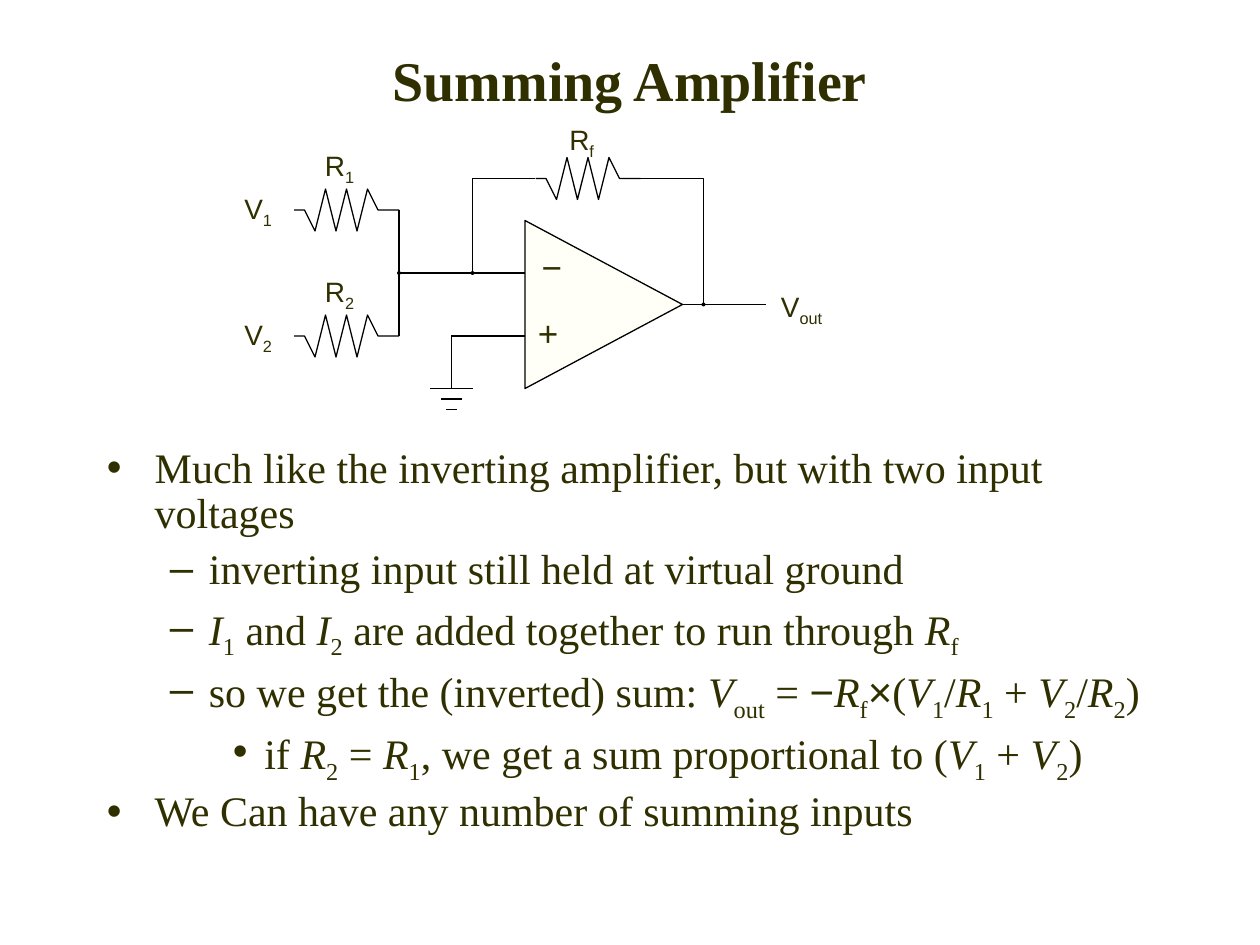
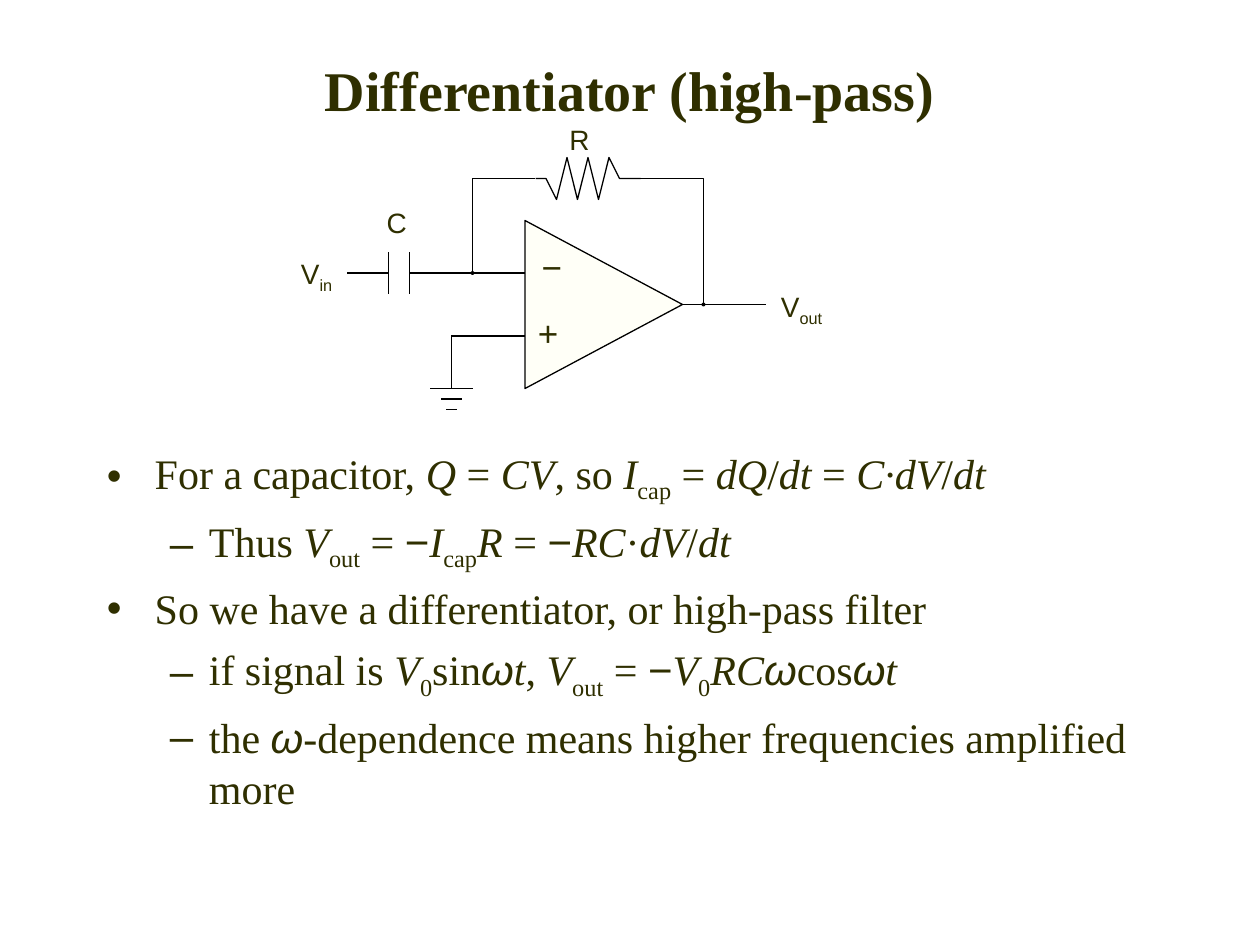
"""Build two op-amp lecture slides: the summing amplifier and the differentiator."""
from dataclasses import dataclass
from itertools import groupby
from typing import NamedTuple

from lxml import etree
from pptx import Presentation
from pptx import util as u
from pptx.dml.color import RGBColor
from pptx.enum import shapes, text
from pptx.oxml.ns import qn


@dataclass(frozen=True)
class Theme:
    """Colours, fonts and type sizes shared by the slides."""
    ink: str = "2F2F00"
    wire: str = "000000"
    amplifier: str = "FFFFF7"
    serif: str = "Times New Roman"
    sans: str = "Arial"
    symbols: str = "−×ω"
    title_size: int = 32
    body_size: int = 24
    sign_size: int = 20
    label_size: int = 16
    wire_width: float = 0.75


class Box(NamedTuple):
    """A frame in inches."""
    left: float
    top: float
    width: float
    height: float


class Point(NamedTuple):
    """A circuit position in twelfths of an inch."""
    x: float
    y: float


class Wire(NamedTuple):
    """A straight wire between two circuit points."""
    start: Point
    end: Point


class Label(NamedTuple):
    """A marked-up caption and its frame."""
    markup: str
    box: Box
    size: int


class Bullet(NamedTuple):
    """A marked-up list item and its level."""
    level: int
    markup: str


class ListLevel(NamedTuple):
    """The bullet sign and indents of a list level."""
    sign: str
    margin: float
    hanging: float


@dataclass(frozen=True)
class CircuitSlide:
    """Everything that is particular to one slide."""
    title: str
    title_top: float
    line_spacing: float
    bullets: list[Bullet]
    labels: list[Label]
    wires: list[Wire]
    resistors: list[Point]
    junctions: list[Point]


THEME = Theme()
LEVELS = [ListLevel("•", 0.38, 0.38), ListLevel("–", 0.81, 0.31), ListLevel("•", 1.25, 0.25)]
ZIGZAG = [Point(0, 0), Point(1, 0), Point(2, 2), Point(3, -2), Point(4, 2), Point(5, -2),
          Point(6, 2), Point(7, -2), Point(8, 0), Point(10, 0)]
FEEDBACK_RESISTOR = Point(51, 17)
FEEDBACK_WIRES = [
    [Point(45, 26), Point(45, 17), Point(51, 17)],
    [Point(61, 17), Point(67, 17), Point(67, 29)],
]
COMMON_WIRES = [
    Wire(Point(50, 32), Point(43, 32)),
    Wire(Point(50, 26), Point(43, 26)),
    Wire(Point(65, 29), Point(73, 29)),
    Wire(Point(43, 32), Point(43, 37)),
    *(Wire(Point(43 - half, y), Point(43 + half, y)) for half, y in ((2, 37), (1, 38), (0.5, 39))),
]
COMMON_JUNCTIONS = [Point(45, 26), Point(67, 29)]
COMMON_LABELS = [
    Label("−", Box(4.2, 1.9, 0.29, 0.44), THEME.sign_size),
    Label("+", Box(4.17, 2.42, 0.36, 0.44), THEME.sign_size),
    Label("V_out_", Box(6.1, 2.25, 0.56, 0.41), THEME.label_size),
]

SUMMING = CircuitSlide(
    title="Summing Amplifier",
    title_top=0,
    line_spacing=0.9,
    bullets=[
        Bullet(0, "Much like the inverting amplifier, but with two input voltages"),
        Bullet(1, "inverting input still held at virtual ground"),
        Bullet(1, "*I*_1_ and *I*_2_ are added together to run through *R*_f_"),
        Bullet(1, "so we get the (inverted) sum: *V*_out_ = −*R*_f_×(*V*_1_/*R*_1_ + *V*_2_/*R*_2_)"),
        Bullet(2, "if *R*_2_ = *R*_1_, we get a sum proportional to (*V*_1_ + *V*_2_)"),
        Bullet(0, "We Can have any number of summing inputs"),
    ],
    labels=[
        Label("R_f_", Box(4.42, 0.92, 0.43, 0.41), THEME.label_size),
        *(Label(f"{name}_{number}_", Box(left, top + number, width, 0.41), THEME.label_size)
          for number in (1, 2)
          for name, left, top, width in (("V", 1.84, 0.47, 0.42), ("R", 2.48, 0.13, 0.43))),
    ],
    wires=[Wire(Point(38, 20), Point(38, 32)), Wire(Point(43, 26), Point(38, 26))],
    resistors=[Point(28, 20), Point(28, 32)],
    junctions=[Point(38, 26)],
)

DIFFERENTIATOR = CircuitSlide(
    title="Differentiator (high-pass)",
    title_top=0.08,
    line_spacing=1.0,
    bullets=[
        Bullet(0, "For a capacitor, *Q* = *CV*, so *I*_cap_ = *dQ*/*dt* = *C·dV*/*dt*"),
        Bullet(1, "Thus *V*_out_ = −*I*_cap_*R* = −*RC*·*dV*/*dt*"),
        Bullet(0, "So we have a differentiator, or high-pass filter"),
        Bullet(1, "if signal is *V*_0_sin*ωt*, *V*_out_ = −*V*_0_*RCω*cos*ωt*"),
        Bullet(1, "the *ω*-dependence means higher frequencies amplified more"),
    ],
    labels=[
        Label("V_in_", Box(2.29, 1.99, 0.45, 0.41), THEME.label_size),
        Label("C", Box(2.97, 1.58, 0.36, 0.37), THEME.label_size),
        Label("R", Box(4.42, 0.92, 0.36, 0.37), THEME.label_size),
    ],
    wires=[
        *(Wire(Point(x, 24), Point(x, 28)) for x in (37, 39)),
        Wire(Point(37, 26), Point(33, 26)),
        Wire(Point(43, 26), Point(39, 26)),
    ],
    resistors=[],
    junctions=[],
)


def grid(steps: float) -> u.Length:
    """Turn circuit grid steps into a length."""
    return u.Inches(steps / 12)


def place(box: Box) -> list[u.Length]:
    """Turn a frame into lengths."""
    return [u.Inches(value) for value in box]


def write_runs(paragraph, markup: str, *, font: str, size: int, bold: bool = False) -> None:
    """Write text in which asterisks toggle italics and underscores toggle subscripts."""
    italic = subscript = False
    letters = []
    for letter in markup:
        if letter == "*":
            italic = not italic
        elif letter == "_":
            subscript = not subscript
        else:
            letters.append((letter, (italic, subscript, letter in THEME.symbols)))
    for (italic, subscript, symbol), group in groupby(letters, key=lambda item: item[1]):
        run = paragraph.add_run()
        run.text = "".join(letter for letter, _ in group)
        run.font.name = THEME.sans if symbol else font
        run.font.size = u.Pt(size)
        run.font.bold = bold
        run.font.italic = italic
        run.font.color.rgb = RGBColor.from_string(THEME.ink)
        if subscript:
            run._r.get_or_add_rPr().set("baseline", "-25000")


def add_text(slide, box: Box, markups: list[str], *, font: str, size: int, bold: bool = False,
             wrap: bool = True, align=text.PP_ALIGN.LEFT, anchor=text.MSO_ANCHOR.TOP):
    """Add a text box with one paragraph for each marked-up string."""
    frame = slide.shapes.add_textbox(*place(box)).text_frame
    frame.word_wrap = wrap
    frame.auto_size = text.MSO_AUTO_SIZE.NONE if wrap else text.MSO_AUTO_SIZE.SHAPE_TO_FIT_TEXT
    frame.vertical_anchor = anchor
    for index, markup in enumerate(markups):
        paragraph = frame.add_paragraph() if index else frame.paragraphs[0]
        paragraph.alignment = align
        write_runs(paragraph, markup, font=font, size=size, bold=bold)
    return frame


def set_bullet(paragraph, level: int) -> None:
    """Give a paragraph the bullet and indents of its level."""
    style = LEVELS[level]
    paragraph.level = level
    properties = paragraph._p.get_or_add_pPr()
    properties.set("marL", str(u.Inches(style.margin)))
    properties.set("indent", str(-u.Inches(style.hanging)))
    colour = etree.SubElement(properties, qn("a:buClr"))
    etree.SubElement(colour, qn("a:srgbClr"), val=THEME.ink)
    etree.SubElement(properties, qn("a:buFont"), typeface=THEME.sans)
    etree.SubElement(properties, qn("a:buChar"), char=style.sign)


def add_bullets(slide, bullets: list[Bullet], line_spacing: float) -> None:
    """Add the bulleted body text."""
    frame = add_text(slide, Box(0.75, 3.5, 8.5, 3.33), [bullet.markup for bullet in bullets],
                     font=THEME.serif, size=THEME.body_size)
    for index, (paragraph, bullet) in enumerate(zip(frame.paragraphs, bullets)):
        set_bullet(paragraph, bullet.level)
        paragraph.line_spacing = line_spacing
        paragraph.space_before = u.Pt(6 if index else 0)


def style_line(line) -> None:
    """Give a line the wire colour and width."""
    line.color.rgb = RGBColor.from_string(THEME.wire)
    line.width = u.Pt(THEME.wire_width)


def style_shape(shape, fill: str | None = None) -> None:
    """Outline a shape as a wire and fill it if a colour is given."""
    shape.shadow.inherit = False
    style_line(shape.line)
    if fill:
        shape.fill.solid()
        shape.fill.fore_color.rgb = RGBColor.from_string(fill)
    else:
        shape.fill.background()


def add_wire(slide, wire: Wire) -> None:
    """Draw a straight wire."""
    connector = slide.shapes.add_connector(
        shapes.MSO_CONNECTOR.STRAIGHT, *(grid(value) for point in wire for value in point))
    style_line(connector.line)
    etree.SubElement(connector._element.spPr, qn("a:effectLst"))


def add_polyline(slide, points: list[Point]) -> None:
    """Draw an open outline through circuit points."""
    first, *rest = [(grid(point.x), grid(point.y)) for point in points]
    builder = slide.shapes.build_freeform(*first)
    builder.add_line_segments(rest, close=False)
    style_shape(builder.convert_to_shape())


def add_resistor(slide, start: Point) -> None:
    """Draw a resistor to the right of a circuit point."""
    add_polyline(slide, [Point(start.x + step.x, start.y + step.y) for step in ZIGZAG])


def add_junction(slide, centre: Point) -> None:
    """Draw a junction dot."""
    diameter = u.Inches(0.02)
    dot = slide.shapes.add_shape(
        shapes.MSO_SHAPE.OVAL, grid(centre.x) - diameter // 2, grid(centre.y) - diameter // 2,
        diameter, diameter)
    style_shape(dot, THEME.wire)


def add_amplifier(slide) -> None:
    """Draw the amplifier triangle pointing right."""
    triangle = slide.shapes.add_shape(
        shapes.MSO_SHAPE.ISOSCELES_TRIANGLE, grid(49.5), grid(21.5), grid(16), grid(15))
    triangle.rotation = 90
    style_shape(triangle, THEME.amplifier)


def add_circuit_slide(presentation, content: CircuitSlide) -> None:
    """Add a slide with title, circuit and bullets."""
    slide = presentation.slides.add_slide(presentation.slide_layouts[6])
    add_text(slide, Box(0.75, content.title_top, 8.5, 1.25), [content.title], font=THEME.serif,
             size=THEME.title_size, bold=True, align=text.PP_ALIGN.CENTER,
             anchor=text.MSO_ANCHOR.MIDDLE)
    add_bullets(slide, content.bullets, content.line_spacing)
    add_amplifier(slide)
    for wire in COMMON_WIRES + content.wires:
        add_wire(slide, wire)
    for points in FEEDBACK_WIRES:
        add_polyline(slide, points)
    for start in [FEEDBACK_RESISTOR, *content.resistors]:
        add_resistor(slide, start)
    for centre in COMMON_JUNCTIONS + content.junctions:
        add_junction(slide, centre)
    for label in COMMON_LABELS + content.labels:
        add_text(slide, label.box, [label.markup], font=THEME.sans, size=label.size, wrap=False)


def main() -> None:
    """Build and save the presentation."""
    presentation = Presentation()
    presentation.slide_width, presentation.slide_height = u.Inches(10), u.Inches(7.5)
    for content in (SUMMING, DIFFERENTIATOR):
        add_circuit_slide(presentation, content)
    presentation.save("out.pptx")


if __name__ == "__main__":
    main()
